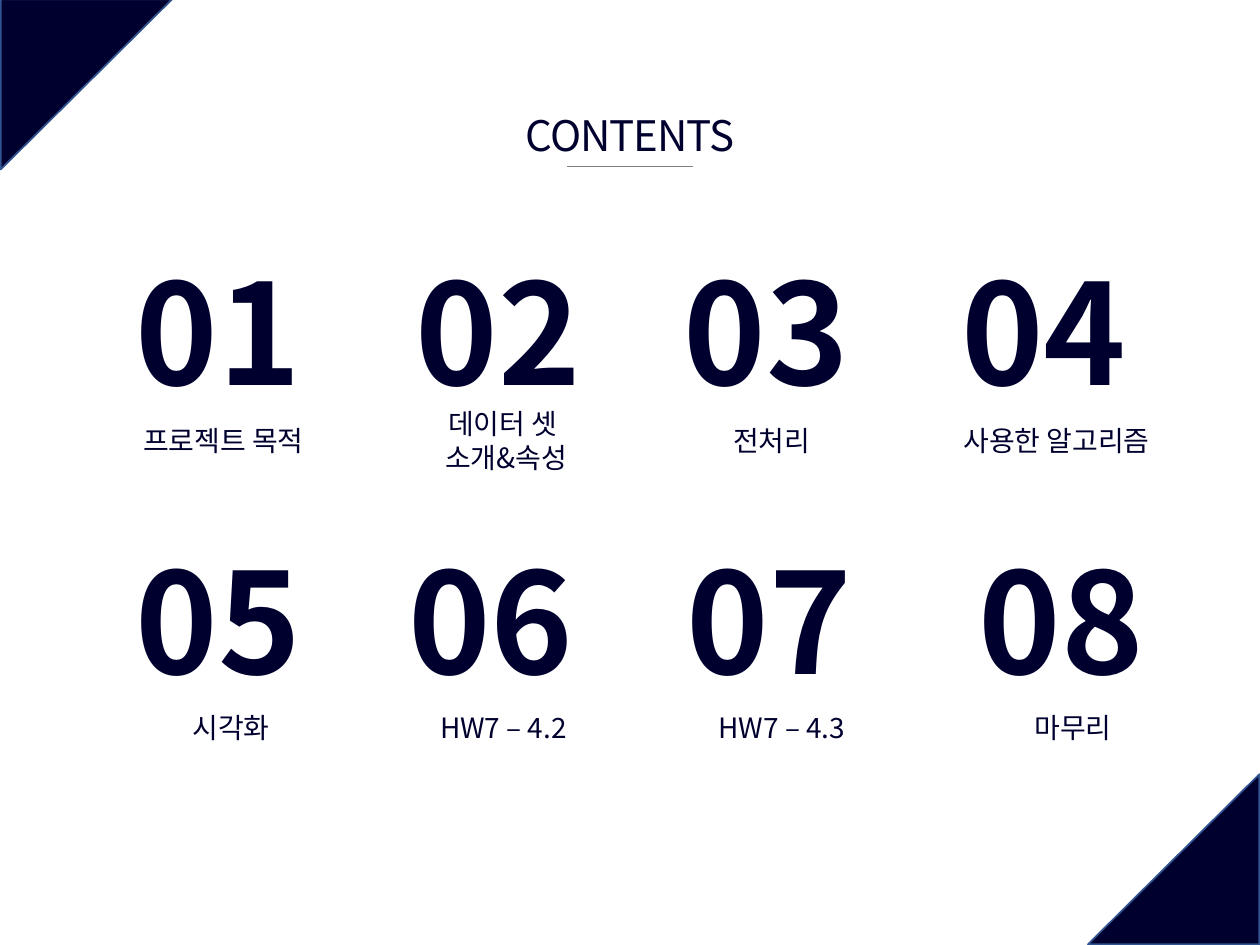
import pptx
import pptx.util
import pptx.dml.color
import pptx.enum.shapes
import pptx.enum.text
import pptx.oxml.ns
from dataclasses import dataclass
from lxml import etree

Inches = pptx.util.Inches
Pt = pptx.util.Pt
RGB = pptx.dml.color.RGBColor.from_string
Align = pptx.enum.text.PP_ALIGN
Anchor = pptx.enum.text.MSO_ANCHOR
qn = pptx.oxml.ns.qn


@dataclass
class Theme:
    font: str = "Noto Sans CJK KR"
    navy: str = "00002F"
    edge: str = "325491"
    rule: str = "808080"
    title_size: int = 24
    number_size: int = 80
    caption_size: int = 16


class ContentsSlide:
    def __init__(self, slide, theme):
        self.slide = slide
        self.theme = theme

    def text(self, box, lines, size, bold=None, align=None, anchor=None, wrap=True, spacing=None):
        frame = self.slide.shapes.add_textbox(*map(Inches, box)).text_frame
        frame.word_wrap = wrap
        if anchor is not None:
            frame.vertical_anchor = anchor
        if not wrap:
            frame.auto_size = pptx.enum.text.MSO_AUTO_SIZE.SHAPE_TO_FIT_TEXT
        frame.text = lines
        for paragraph in frame.paragraphs:
            paragraph.alignment = align
            font = paragraph.font
            font.size, font.bold, font.name = Pt(size), bold, self.theme.font
            font.color.rgb = RGB(self.theme.navy)
            # Korean text takes the East Asian typeface
            properties = paragraph._p.pPr.find(qn("a:defRPr"))
            etree.SubElement(properties, qn("a:ea")).set("typeface", self.theme.font)
            if spacing is not None:
                properties.set("spc", str(spacing))

    def title(self, box, words):
        self.text(box, words, self.theme.title_size, align=Align.CENTER, wrap=False, spacing=-60)

    def number(self, left, top, value):
        self.text((left, top, 1.59, 1.45), f"{value:02d}", self.theme.number_size,
                  bold=True, wrap=False)

    def caption(self, left, top, width, words):
        self.text((left, top, width, 0.51), words, self.theme.caption_size,
                  align=Align.CENTER, anchor=Anchor.MIDDLE)

    def rule(self, left, right, y):
        line = self.slide.shapes.add_connector(
            pptx.enum.shapes.MSO_CONNECTOR.STRAIGHT,
            Inches(left), Inches(y), Inches(right), Inches(y))
        line.line.color.rgb = RGB(self.theme.rule)
        line.line.width = Pt(0.5)
        etree.SubElement(line._element.spPr, qn("a:effectLst"))

    def corner(self, left, top, rotation):
        triangle = self.slide.shapes.add_shape(
            pptx.enum.shapes.MSO_SHAPE.RIGHT_TRIANGLE,
            Inches(left), Inches(top), Inches(1.35), Inches(1.36))
        triangle.rotation = rotation
        triangle.shadow.inherit = False
        triangle.fill.solid()
        triangle.fill.fore_color.rgb = RGB(self.theme.navy)
        triangle.line.color.rgb = RGB(self.theme.edge)
        triangle.line.width = Pt(1)


# Each row: number top, caption top, then
# (number left, caption left, caption width, caption) per chapter
ROWS = [
    (1.9, 3.24, [
        (0.98, 0.66, 2.23, "프로젝트 목적"),
        (3.2, 3.22, 1.59, "데이터 셋 \n소개&속성"),
        (5.33, 5.25, 1.75, "전처리"),
        (7.53, 7.51, 1.75, "사용한 알고리즘"),
    ]),
    (4.19, 5.52, [
        (0.98, 0.96, 1.75, "시각화"),
        (3.14, 3.12, 1.75, "HW7 – 4.2"),
        (5.35, 5.33, 1.75, "HW7 – 4.3"),
        (7.67, 7.64, 1.75, "마무리"),
    ]),
]


def main():
    deck = pptx.Presentation()
    deck.slide_width, deck.slide_height = Inches(10), Inches(7.5)
    contents = ContentsSlide(deck.slides.add_slide(deck.slide_layouts[6]), Theme())

    # Corner triangles
    contents.corner(0.01, -0.01, 90)
    contents.corner(8.64, 6.14, 270)

    # Heading
    contents.title((4.06, 0.82, 1.88, 0.5), "CONTENTS")
    contents.rule(4.5, 5.5, 1.32)

    # Chapters, numbered along the rows
    chapter = 0
    for number_top, caption_top, chapters in ROWS:
        for number_left, caption_left, width, words in chapters:
            chapter += 1
            contents.number(number_left, number_top, chapter)
            contents.caption(caption_left, caption_top, width, words)

    deck.save("out.pptx")


if __name__ == "__main__":
    main()
